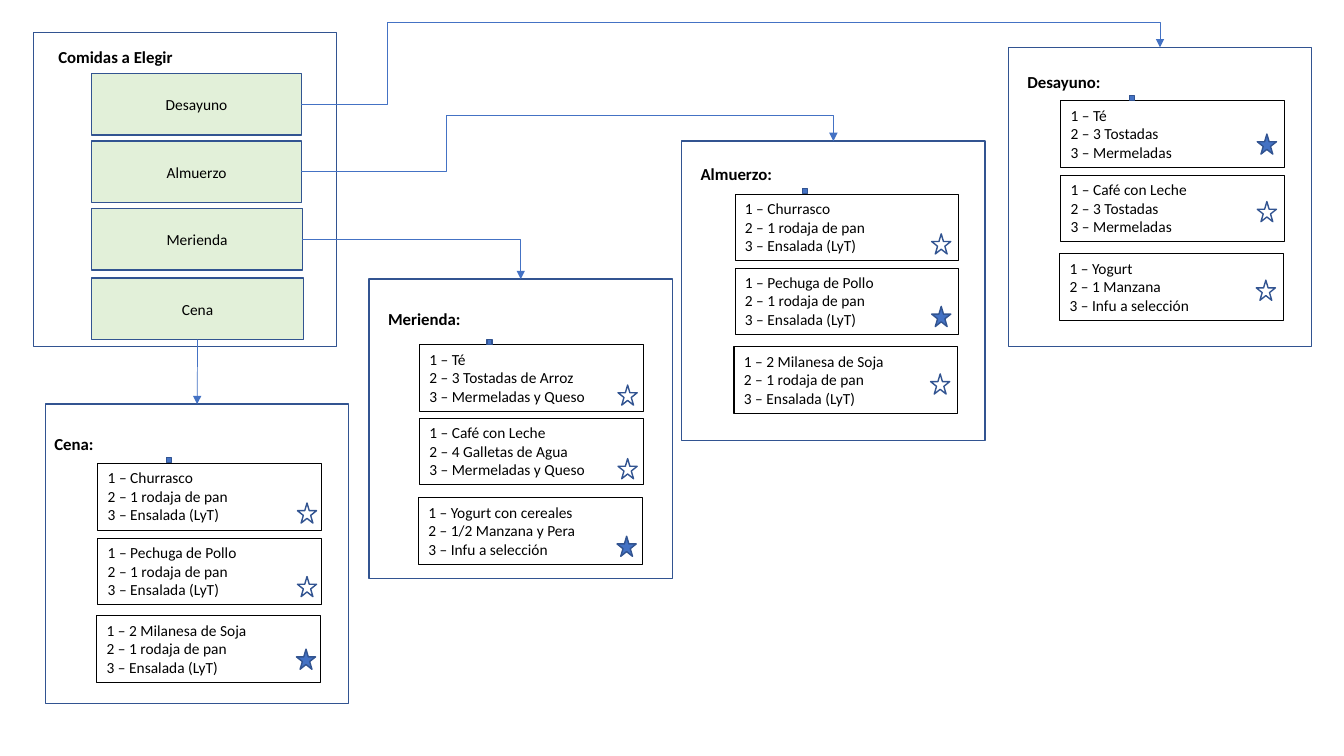
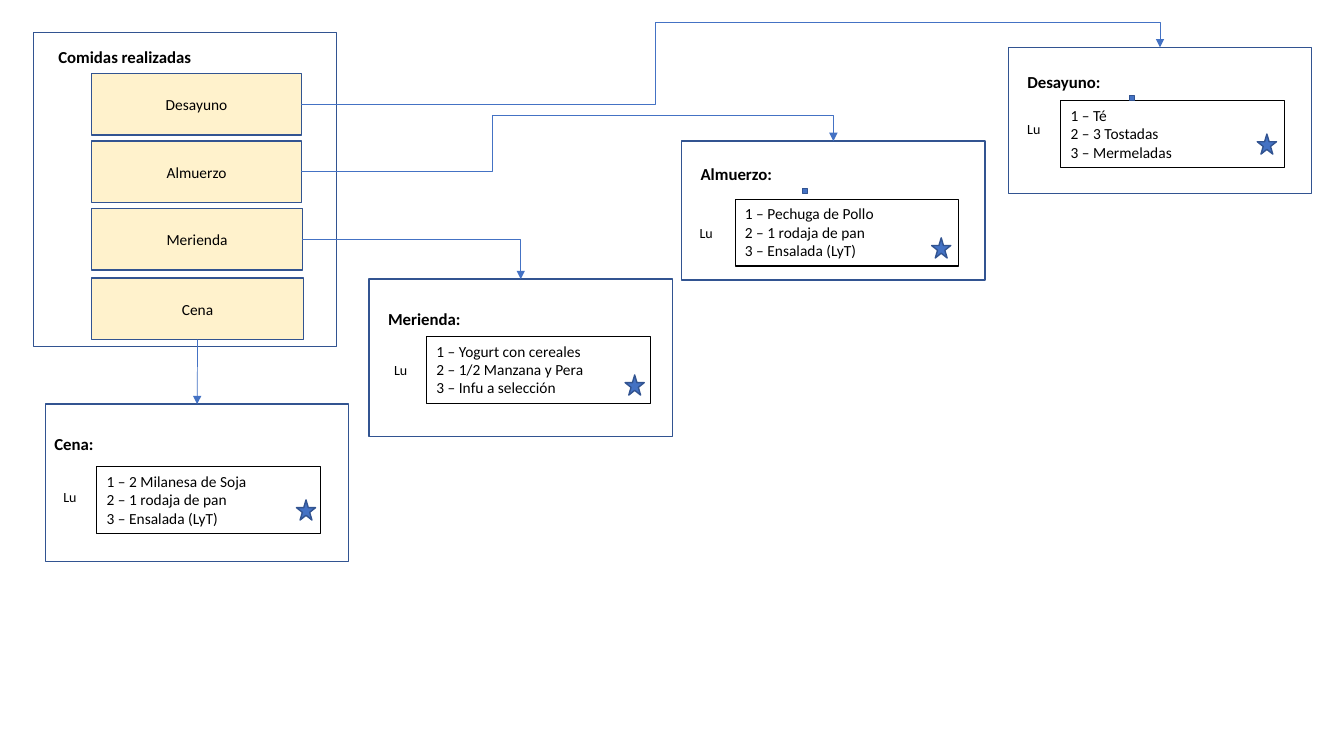
from collections import namedtuple
from lxml import etree
from pptx import Presentation
from pptx.dml.color import RGBColor
from pptx.enum import shapes, text
from pptx.oxml.ns import qn
from pptx.util import Inches, Pt

NAVY = RGBColor(0x32, 0x54, 0x91)
BLUE = RGBColor(0x44, 0x72, 0xC4)
GREEN = RGBColor(0xE2, 0xF0, 0xD9)
CREAM = RGBColor(0xFF, 0xF2, 0xCC)
BLACK = RGBColor(0, 0, 0)
FONT = "Calibri"
RECT = shapes.MSO_SHAPE.RECTANGLE
STAR = shapes.MSO_SHAPE.STAR_5_POINT
LEFT, CENTER = text.PP_ALIGN.LEFT, text.PP_ALIGN.CENTER

Meal = namedtuple("Meal", "name left top title dot star_shift chosen dishes")
Plan = namedtuple("Plan", "title fill bends cards heights dots day_labels")

BREAD = "2 – 1 rodaja de pan\n3 – Ensalada (LyT)"
MAINS = [f"1 – {main}\n{BREAD}" for main in ("Churrasco", "Pechuga de Pollo", "2 Milanesa de Soja")]
MEALS = [
    Meal("Desayuno", 10, 0.47, (10.09, 0.66), (11.2, 0.95), 1.95, 0, [
        "1 – Té\n2 – 3 Tostadas\n3 – Mermeladas",
        "1 – Café con Leche\n2 – 3 Tostadas\n3 – Mermeladas",
        "1 – Yogurt\n2 – 1 Manzana\n3 – Infu a selección"]),
    Meal("Almuerzo", 6.76, 1.4, (6.85, 1.58), (7.96, 1.87), 1.95, 1, MAINS),
    Meal("Merienda", 3.66, 2.77, (3.75, 3.01), (4.83, 3.37), 1.97, 2, [
        "1 – Té\n2 – 3 Tostadas de Arroz\n3 – Mermeladas y Queso",
        "1 – Café con Leche\n2 – 4 Galletas de Agua\n3 – Mermeladas y Queso",
        "1 – Yogurt con cereales\n2 – 1/2 Manzana y Pera\n3 – Infu a selección"]),
    Meal("Cena", 0.45, 4.01, (0.44, 4.25), (1.65, 4.54), 1.98, 2, MAINS),
]
OPTIONS = [(0.73, 2.08), (1.4, 2.08), (2.07, 2.09), (2.76, 2.1)]

# Each card is (left, top, star top).
PLANS = [
    Plan("Comidas a Elegir", GREEN, [(10000, 144600), (27300, 182200)], [
        [(10.52, 1, 1.33), (10.52, 1.74, 2), (10.51, 2.52, 2.78)],
        [(7.29, 1.93, 2.32), (7.29, 2.66, 3.04), (7.28, 3.44, 3.71)],
        [(4.16, 3.42, 3.82), (4.16, 4.15, 4.55), (4.15, 4.94, 5.32)],
        [(0.97, 4.6, 4.99), (0.97, 5.34, 5.72), (0.96, 6.11, 6.44)],
    ], [2.97] * 4, 4, []),
    Plan("Comidas realizadas", CREAM, [(41200, 144600), (35800, 182200)], [
        [(10.52, 1, 1.33)], [(7.29, 1.98, 2.36)],
        [(4.23, 3.34, 3.72)], [(0.96, 4.63, 4.96)],
    ], [1.45, 1.38, 1.56, 1.56], 2,
        [(10.09, 1.15), (6.84, 2.18), (3.81, 3.54), (0.53, 4.8)]),
]


def add_figure(page, kind, at, fill=None, line=NAVY, weight=1):
    figure = page.shapes.add_shape(kind, *map(Inches, at))
    figure.shadow.inherit = False
    if fill is None:
        figure.fill.background()
    else:
        figure.fill.solid()
        figure.fill.fore_color.rgb = fill
    figure.line.color.rgb = line
    figure.line.width = Pt(weight)
    return figure


def write(box, words, size=11, bold=False, align=LEFT, anchor=text.MSO_ANCHOR.TOP):
    frame = box.text_frame
    frame.text = words
    frame.word_wrap = True
    frame.vertical_anchor = anchor
    for para in frame.paragraphs:
        para.alignment = align
        for span in para.runs:
            span.font.name = FONT
            span.font.size = Pt(size)
            span.font.bold = bold
            span.font.color.rgb = BLACK


deck = Presentation()
deck.slide_width, deck.slide_height = Inches(13.33), Inches(7.5)

for plan in PLANS:
    page = deck.slides.add_slide(deck.slide_layouts[6])
    add_figure(page, RECT, (0.33, 0.32, 3.01, 3.12))
    labels = [(plan.title, (0.48, 0.41), 2.22, 12, True)]
    labels += [(meal.name + ":", meal.title, 2.22, 12, True) for meal in MEALS]
    labels += [("Lu", place, 0.36, 10, False) for place in plan.day_labels]

    for index, (meal, (top, width)) in enumerate(zip(MEALS, OPTIONS)):
        option = add_figure(page, RECT, (0.91, top, width, 0.61), plan.fill)
        write(option, meal.name, align=CENTER, anchor=text.MSO_ANCHOR.MIDDLE)
        panel = add_figure(page, RECT, (meal.left, meal.top, 3.01, plan.heights[index]))

        cards = plan.cards[index]
        picks = range(3) if len(cards) == 3 else [meal.chosen]
        for pick, (left, card_top, star_top) in zip(picks, cards):
            card = add_figure(page, RECT, (left, card_top, 2.22, 0.66), line=BLACK, weight=0.75)
            write(card, meal.dishes[pick])
            add_figure(page, STAR, (left + meal.star_shift, star_top, 0.19, 0.2),
                       BLUE if pick == meal.chosen else None)
        if index < plan.dots:
            add_figure(page, RECT, (*meal.dot, 0.05, 0.05), BLUE)

        is_last = meal.name == "Cena"
        kind = shapes.MSO_CONNECTOR.STRAIGHT if is_last else shapes.MSO_CONNECTOR.ELBOW
        arrow = page.shapes.add_connector(kind, 0, 0, 0, 0)
        arrow.begin_connect(option, 2 if is_last else 3)
        arrow.end_connect(panel, 0)
        arrow.line.color.rgb = BLUE
        arrow.line.width = Pt(0.5)
        etree.SubElement(arrow.line._get_or_add_ln(), qn("a:tailEnd"), type="triangle")
        properties = arrow._element.spPr
        etree.SubElement(properties, qn("a:effectLst"))
        if not is_last:
            bends = plan.bends[index] if index < len(plan.bends) else ()
            geometry = properties.find(qn("a:prstGeom"))
            geometry.set("prst", f"bentConnector{2 + len(bends)}")
            guides = geometry.find(qn("a:avLst"))
            for number, bend in enumerate(bends, 1):
                etree.SubElement(guides, qn("a:gd"), name=f"adj{number}", fmla=f"val {bend}")

    for words, place, width, size, bold in labels:
        label = page.shapes.add_textbox(*map(Inches, (*place, width, 0.3)))
        write(label, words, size, bold)

deck.save("out.pptx")
